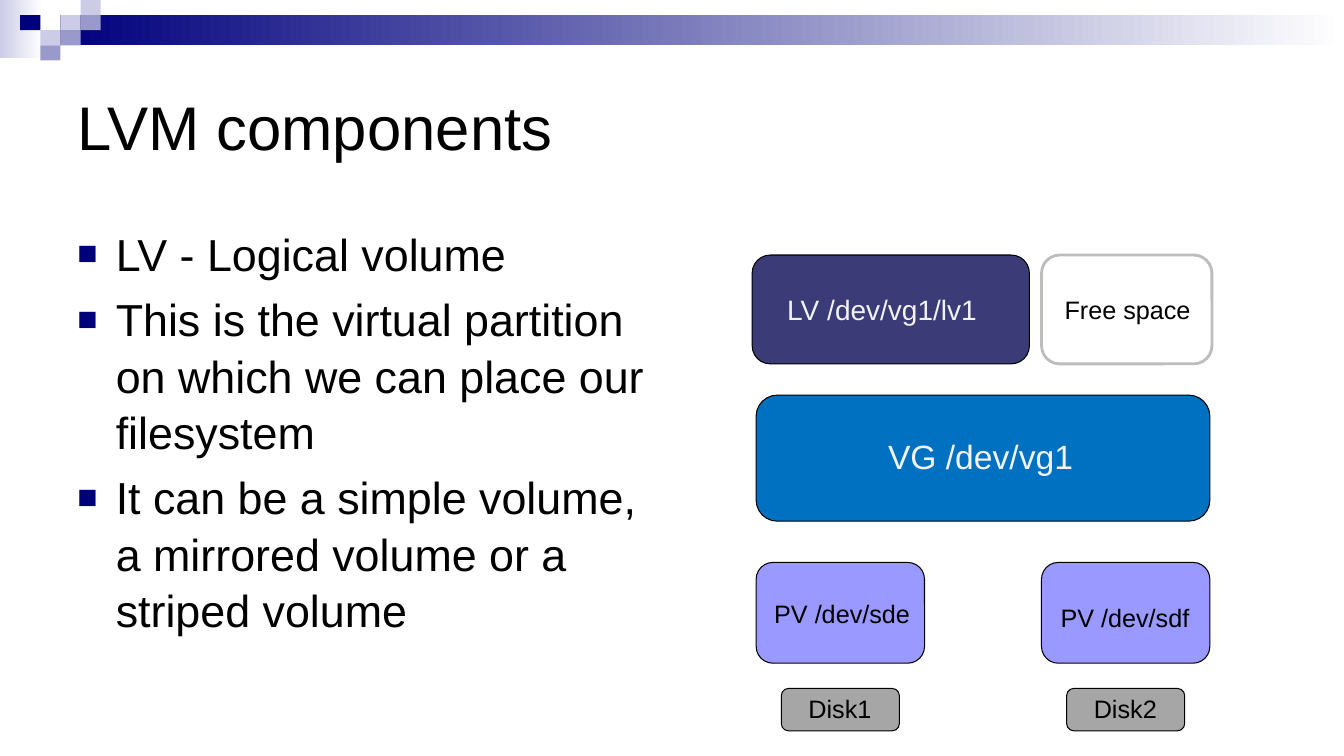
from dataclasses import dataclass

from lxml import etree
from pptx import Presentation
from pptx.dml.color import RGBColor
from pptx.enum.shapes import MSO_SHAPE
from pptx.enum.text import MSO_ANCHOR
from pptx.oxml.ns import qn
from pptx.util import Inches, Pt

NAVY, LAVENDER, PERIWINKLE = "00007D", "CCCCE6", "9999CC"
BLACK, WHITE, PALE = "000000", "FFFFFF", "F2F2F2"
VOLUME_FILL, DISK_FILL = "9999FF", "A6A6A6"


@dataclass(frozen=True)
class Box:
    """A rectangle on the slide, in inches."""
    left: float
    top: float
    width: float
    height: float

    def lengths(self) -> tuple:
        """Return the four values as lengths."""
        return tuple(map(Inches, (self.left, self.top, self.width, self.height)))


@dataclass(frozen=True)
class Block:
    """A rounded block of the storage stack with its label."""
    box: Box
    fill: str
    label: str
    label_box: Box
    size: int = 18
    text_color: str = BLACK
    line: str = BLACK
    line_width: float = 0.75


def color(value: str) -> RGBColor:
    """Turn a hex string into a colour."""
    return RGBColor.from_string(value)


def add_block_shape(slide, preset, box: Box):
    """Add a preset shape without shadow."""
    shape = slide.shapes.add_shape(preset, *box.lengths())
    shape.shadow.inherit = False
    return shape


def add_band(slide, box: Box, start: str, end: str = "") -> None:
    """Add a borderless header rectangle, fading to end when given."""
    shape = add_block_shape(slide, MSO_SHAPE.RECTANGLE, box)
    shape.line.fill.background()
    if end:
        shape.fill.gradient()
        shape.fill.gradient_angle = 0
        for stop, value in zip(shape.fill.gradient_stops, (start, end)):
            stop.color.rgb = color(value)
            stop.position = 0 if value == start else 1
    else:
        shape.fill.solid()
        shape.fill.fore_color.rgb = color(start)


def add_text(slide, box: Box, lines: list[str], size: int, text_color: str = BLACK):
    """Add a wrapping text box and return its frame."""
    frame = slide.shapes.add_textbox(*box.lengths()).text_frame
    frame.word_wrap = True
    frame.text = "\n".join(lines)
    for paragraph in frame.paragraphs:
        paragraph.font.name = "Arial"
        paragraph.font.size = Pt(size)
        paragraph.font.color.rgb = color(text_color)
    return frame


def add_bullet(paragraph) -> None:
    """Give a paragraph a hanging square bullet."""
    properties = paragraph._p.get_or_add_pPr()
    properties.set("marL", str(Inches(0.38)))
    properties.set("indent", str(Inches(-0.38)))
    paragraph.space_before = Pt(6.4)
    paragraph.line_spacing = 1.05
    bullet_color = etree.Element(qn("a:buClr"))
    etree.SubElement(bullet_color, qn("a:srgbClr"), val=NAVY)
    bullet_parts = [
        bullet_color,
        etree.Element(qn("a:buSzPct"), val="75000"),
        etree.Element(qn("a:buFont"), typeface="Arial"),
        etree.Element(qn("a:buChar"), char="■"),
    ]
    defaults = properties.find(qn("a:defRPr"))
    for part in bullet_parts:
        defaults.addprevious(part)


def add_block(slide, block: Block) -> None:
    """Draw a rounded block and its label."""
    shape = add_block_shape(slide, MSO_SHAPE.ROUNDED_RECTANGLE, block.box)
    shape.fill.solid()
    shape.fill.fore_color.rgb = color(block.fill)
    shape.line.color.rgb = color(block.line)
    shape.line.width = Pt(block.line_width)
    add_text(slide, block.label_box, [block.label], block.size, block.text_color)


def add_header(slide) -> None:
    """Draw the fading bands and the checker of small tiles."""
    add_band(slide, Box(0, 0, 0.42, 0.58), LAVENDER, WHITE)
    add_band(slide, Box(0.6, 0.15, 12.73, 0.3), NAVY, WHITE)
    tiles = [(3, 1, LAVENDER), (4, 0, LAVENDER), (4, 1, PERIWINKLE), (2, 2, LAVENDER),
             (1, 1, NAVY), (3, 2, PERIWINKLE), (2, 3, PERIWINKLE)]
    for column, row, fill in tiles:
        add_band(slide, Box(0.2 * column, 0.15 * row, 0.2, 0.15), fill)


BLOCKS = [
    Block(Box(7.5, 5.58, 1.67, 1), VOLUME_FILL, "PV /dev/sde", Box(7.58, 5.89, 1.58, 0.4)),
    Block(Box(10.33, 5.58, 1.67, 1), VOLUME_FILL, "PV /dev/sdf", Box(10.42, 5.93, 1.58, 0.4)),
    Block(Box(7.5, 3.92, 4.5, 1.25), "0070C0", "VG /dev/vg1", Box(8.71, 4.28, 2.08, 0.5), 24, PALE),
    Block(Box(7.75, 6.83, 1.17, 0.42), DISK_FILL, "Disk1", Box(7.92, 6.83, 0.92, 0.42)),
    Block(Box(10.58, 6.83, 1.17, 0.42), DISK_FILL, "Disk2", Box(10.75, 6.83, 0.92, 0.42)),
    Block(Box(7.46, 2.53, 2.75, 1.08), "3B3B77", "LV /dev/vg1/lv1", Box(7.71, 2.85, 2.5, 0.44), 20, PALE),
    Block(Box(10.33, 2.53, 1.69, 1.08), WHITE, "Free space", Box(10.46, 2.87, 1.5, 0.42),
          line="BDBDBD", line_width=2),
]
POINTS = [
    "LV - Logical volume",
    "This is the virtual partition on which we can place our filesystem",
    "It can be a simple volume, a mirrored volume or a striped volume",
]


def main() -> None:
    """Build the slide and save it."""
    presentation = Presentation()
    presentation.slide_width, presentation.slide_height = Inches(13.33), Inches(7.5)
    slide = presentation.slides.add_slide(presentation.slide_layouts[6])
    add_header(slide)
    title = add_text(slide, Box(0.67, 0.5, 12, 1.5), ["LVM components"], 44)
    title.vertical_anchor = MSO_ANCHOR.MIDDLE
    body = add_text(slide, Box(0.67, 2.17, 5.92, 4.25), POINTS, 32)
    for paragraph in body.paragraphs:
        add_bullet(paragraph)
    for block in BLOCKS:
        add_block(slide, block)
    presentation.save("out.pptx")


main()
